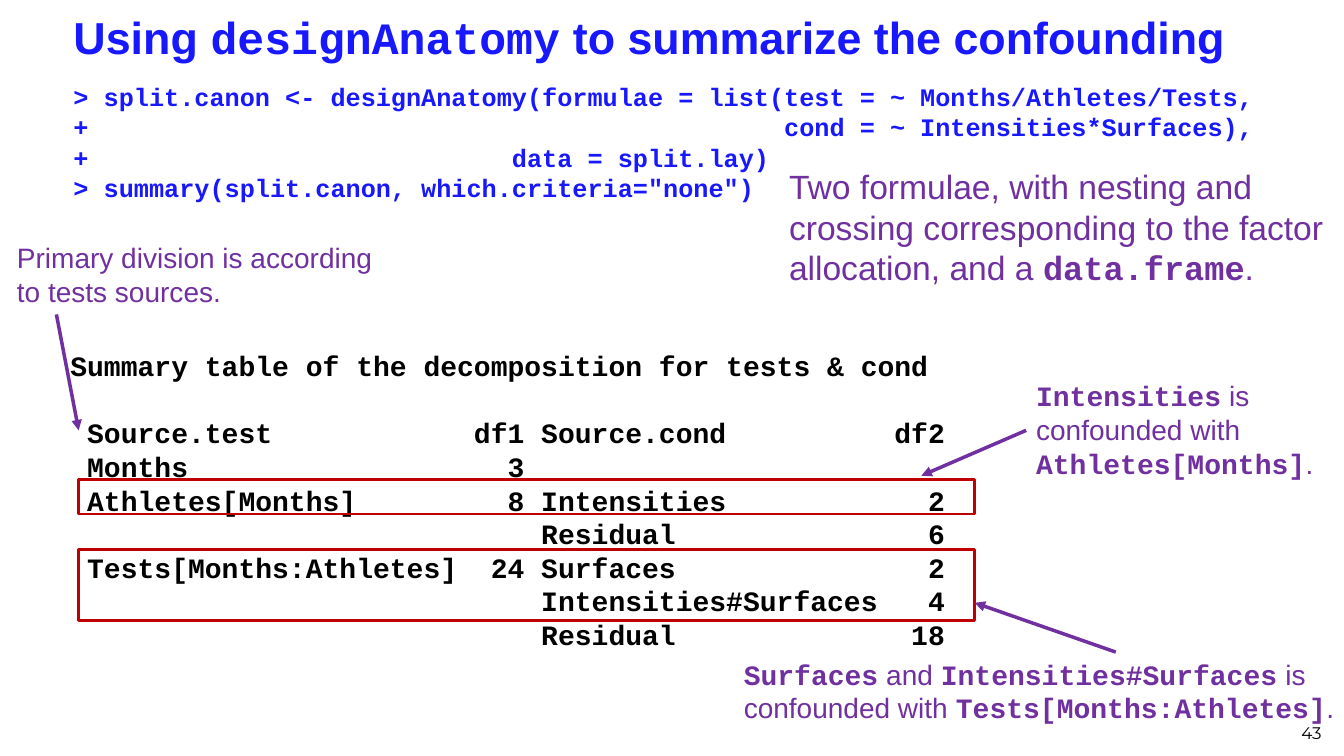
from lxml import etree
from pptx import Presentation
from pptx.dml.color import RGBColor
from pptx.enum import shapes, text
from pptx.oxml import ns
from pptx.util import Pt

BLUE, PURPLE, RED, BLACK = "1818FF", "7030A0", "C00000", "000000"
SANS, MONO, NUMBER = "Arial", "Courier New", "Montserrat"

# Backticks mark words set in the code font.
TITLE = "Using `designAnatomy` to summarize the confounding"
CODE = [
    "> split.canon <- designAnatomy(formulae = list(test = ~ Months/Athletes/Tests,",
    "+                                              cond = ~ Intensities*Surfaces),",
    "+                            data = split.lay)",
    '> summary(split.canon, which.criteria="none")',
]
SUMMARY_HEADING = "Summary table of the decomposition for tests & cond"
SUMMARY = [
    ("Source.test", "df1", "Source.cond", "df2"),
    ("Months", 3, "", ""),
    ("Athletes[Months]", 8, "Intensities", 2),
    ("", "", "Residual", 6),
    ("Tests[Months:Athletes]", 24, "Surfaces", 2),
    ("", "", "Intensities#Surfaces", 4),
    ("", "", "Residual", 18),
]
# text, size, (left, top, width, height)
NOTES = [
    ("Two formulae, with nesting and crossing corresponding to the factor "
     "allocation, and a `data.frame`.", 24, (556.5, 115.2, 402.5, 90.7)),
    ("`Intensities` is confounded with `Athletes[Months]`.", 20,
     (733, 267.1, 217.4, 80)),
    ("`Surfaces` and `Intensities#Surfaces` is confounded with "
     "`Tests[Months:Athletes]`.", 20, (524.2, 465.8, 444.2, 55.4)),
    ("Primary division is according to tests sources.", 20,
     (5, 168.5, 272.2, 55.4)),
]
FRAMES = [(342.7, 24.5), (392.4, 51.1)]  # top, height
FRAME_LEFT, FRAME_WIDTH = 56.2, 640
ARROWS = [  # from x, y, to x, y
    (733, 307.4, 658.1, 339.8),
    (40.3, 224.6, 56.2, 307.4),
    (797, 465.8, 696.2, 430.6),
]


def colour(value):
    return RGBColor.from_string(value)


def style(font, size, name, shade, bold=False):
    font.size, font.name, font.bold = Pt(size), name, bold
    font.color.rgb = colour(shade)


def add_box(page, place, anchor=text.MSO_ANCHOR.TOP):
    box = page.shapes.add_textbox(*map(Pt, place))
    box.text_frame.word_wrap = True
    box.text_frame.vertical_anchor = anchor
    return box.text_frame


def fill_mixed(para, marked, size, shade, bold=False):
    """Write text whose backticked words take the bold code font."""
    style(para.font, size, SANS, shade, bold)
    for index, part in enumerate(marked.split("`")):
        if part:
            span = para.add_run()
            span.text = part
            is_code = index % 2 == 1
            style(span.font, size, MONO if is_code else SANS, shade, bold or is_code)


def add_code(page, place, lines, size, shade):
    frame = add_box(page, place)
    for index, line in enumerate(lines):
        para = frame.add_paragraph() if index else frame.paragraphs[0]
        para.text = line
        style(para.font, size, MONO, shade, True)
    return frame


def add_frame(page, top, height):
    place = map(Pt, (FRAME_LEFT, top, FRAME_WIDTH, height))
    frame = page.shapes.add_shape(shapes.MSO_SHAPE.RECTANGLE, *place)
    frame.shadow.inherit = False
    frame.fill.background()
    frame.line.color.rgb = colour(RED)
    frame.line.width = Pt(2)


def add_arrow(page, ends):
    arrow = page.shapes.add_connector(shapes.MSO_CONNECTOR.STRAIGHT, *map(Pt, ends))
    arrow.line.color.rgb = colour(PURPLE)
    arrow.line.width = Pt(2.5)
    etree.SubElement(arrow.line._get_or_add_ln(), ns.qn("a:tailEnd"), type="triangle")
    etree.SubElement(arrow._element.spPr, ns.qn("a:effectLst"))


def main():
    deck = Presentation()
    deck.slide_width, deck.slide_height = Pt(960), Pt(540)
    page = deck.slides.add_slide(deck.slide_layouts[6])

    title = add_box(page, (45.4, -2.2, 907.2, 56.9), text.MSO_ANCHOR.MIDDLE)
    fill_mixed(title.paragraphs[0], TITLE, 32, BLUE, True)
    add_code(page, (45.4, 54.7, 907.2, 97.9), CODE, 18, BLUE)

    rows = [f" {test:<22}{df1:>4} {cond:<20}{df2:>4}".rstrip()
            for test, df1, cond, df2 in SUMMARY]
    summary = add_code(page, (43.2, 245.5, 907.2, 226.8),
                       [SUMMARY_HEADING] + rows, 20, BLACK)
    summary.paragraphs[1].space_before = Pt(24)

    for note, size, place in NOTES:
        fill_mixed(add_box(page, place).paragraphs[0], note, size, PURPLE)
    for top, height in FRAMES:
        add_frame(page, top, height)
    for ends in ARROWS:
        add_arrow(page, ends)

    number = add_box(page, (727.2, 498.2, 223.9, 36), text.MSO_ANCHOR.BOTTOM)
    number.paragraphs[0].text = "43"
    number.paragraphs[0].alignment = text.PP_ALIGN.RIGHT
    style(number.paragraphs[0].font, 12, NUMBER, BLACK)

    deck.save("out.pptx")


if __name__ == "__main__":
    main()
